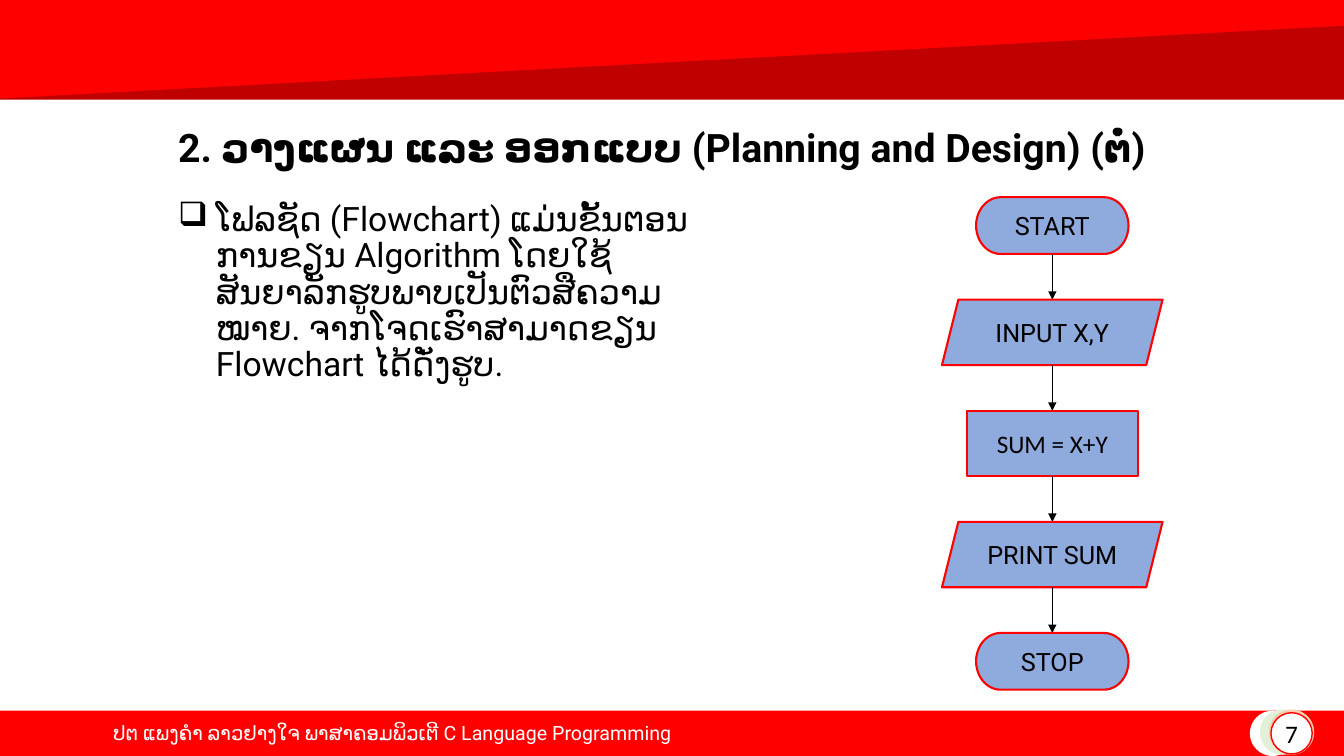
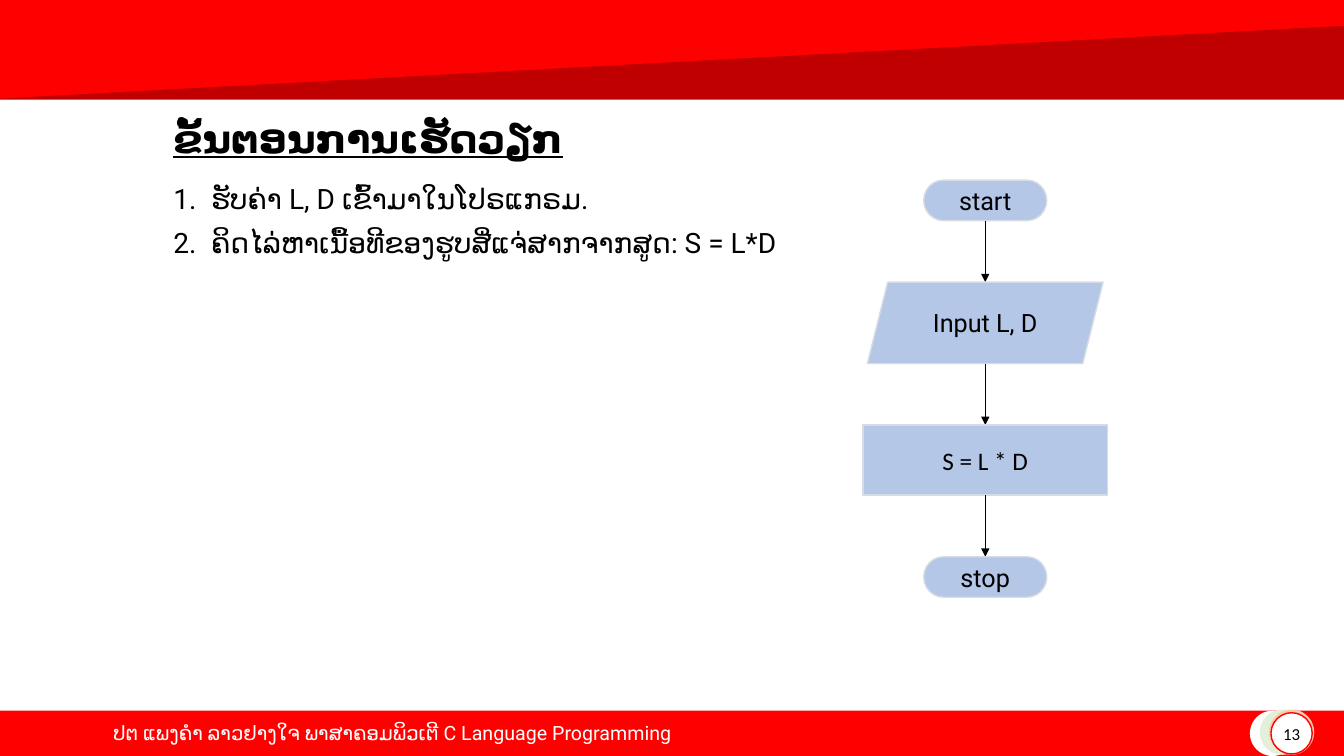
from lxml import etree
from pptx import Presentation
from pptx.dml.color import RGBColor
from pptx.enum.shapes import MSO_CONNECTOR, MSO_SHAPE
from pptx.enum.text import MSO_ANCHOR, PP_ALIGN
from pptx.oxml.ns import qn
from pptx.util import Cm, Pt

RECTANGLE = MSO_SHAPE.RECTANGLE
OVAL = MSO_SHAPE.OVAL
TERMINATOR = MSO_SHAPE.FLOWCHART_TERMINATOR
PARALLELOGRAM = MSO_SHAPE.PARALLELOGRAM
STRAIGHT = MSO_CONNECTOR.STRAIGHT
LEFT, CENTER = PP_ALIGN.LEFT, PP_ALIGN.CENTER
TOP, MIDDLE, BOTTOM = MSO_ANCHOR.TOP, MSO_ANCHOR.MIDDLE, MSO_ANCHOR.BOTTOM

BLACK = RGBColor(0x00, 0x00, 0x00)
WHITE = RGBColor(0xFF, 0xFF, 0xFF)
RED = RGBColor(0xFF, 0x00, 0x00)
DARK_RED = RGBColor(0xC0, 0x00, 0x00)
PALE_GREEN = RGBColor(0xE2, 0xF0, 0xD9)
PEACH = RGBColor(0xF8, 0xCB, 0xAD)
BLUE = RGBColor(0x8F, 0xAA, 0xDC)
LIGHT_BLUE = RGBColor(0xB4, 0xC7, 0xE7)
GRAY = RGBColor(0xD6, 0xDC, 0xE5)

TEXT_FONT, NUMBER_FONT = "Roboto", "Calibri"
WIDTH, HEIGHT = 33.87, 19.05
FOOTER = "ປຕ ແພງຄໍາ ລາວຢາງໃຈ ພາສາຄອມພິວເຕີ C Language Programming"
SQUARE_BULLET = ("a:buChar", {"char": "❑"})
NUMBERING = ("a:buAutoNum", {"type": "arabicPeriod"})

FRAME = [
    (RECTANGLE, (-0.56, -0.66, 35.23, 3.17), DARK_RED, 0),
    (RECTANGLE, (-0.25, -1.27, 34.16, 2.84), RED, 356.9),
    (RECTANGLE, (0, 17.91, WIDTH, 1.14), RED, 0),
    (OVAL, (31.5, 17.91, 1.14, 1.14), WHITE, 0),
    (OVAL, (31.75, 17.88, 1.14, 1.14), PALE_GREEN, 0),
    (OVAL, (31.98, 17.88, 1.14, 1.14), PEACH, 0),
]

SLIDES = [
    {
        "number": "7", "number_size": 18,
        "title": "2. ວາງແຜນ ແລະ ອອກແບບ (Planning and Design) (ຕໍ່)",
        "title_box": (4.24, 2.79, 25.4, 1.65), "underline": False,
        "body": ["ໂຟລຊັດ (Flowchart) ແມ່ນຂັ້ນຕອນການຂຽນ Algorithm ໂດຍໃຊ້"
                 "ສັນຍາລັກຮູບພາບເປັນຕົວສືຄວາມໝາຍ. ຈາກໂຈດເຮົາສາມາດຂຽນ "
                 "Flowchart ໄດ້ດັ່ງຮູບ."],
        "body_box": (4.24, 4.98, 13.74, 7.04), "body_size": 24,
        "bullet": SQUARE_BULLET,
        "flow": {"center": 26.52, "top": 4.97, "gap": 1.15,
                 "fill": BLUE, "line": RED, "line_width": 1.5},
        "sizes": {TERMINATOR: (3.84, 1.43), PARALLELOGRAM: (5.56, 1.65),
                  RECTANGLE: (4.32, 1.65)},
        "steps": [(TERMINATOR, "START"), (PARALLELOGRAM, "INPUT X,Y"),
                  (RECTANGLE, "SUM = X+Y"), (PARALLELOGRAM, "PRINT SUM"),
                  (TERMINATOR, "STOP")],
    },
    {
        "number": "13", "number_size": 12,
        "title": "ຂັ້ນຕອນການເຮັດວຽກ",
        "title_box": (4.12, 2.55, 25.4, 1.65), "underline": True,
        "body": ["ຮັບຄ່າ L, D ເຂົ້າມາໃນໂປຣແກຣມ.",
                 "ຄິດໄລ່ຫາເນື້ອທີຂອງຮູບສີ່ແຈ່ສາກຈາກສູດ: S = L*D"],
        "body_box": (4.12, 4.55, 16.59, 10.08), "body_size": 20,
        "bullet": NUMBERING,
        "flow": {"center": 24.83, "top": 4.54, "gap": 1.55,
                 "fill": LIGHT_BLUE, "line": GRAY, "line_width": 1},
        "sizes": {TERMINATOR: (3.1, 1.02), PARALLELOGRAM: (5.94, 2.05),
                  RECTANGLE: (6.17, 1.77)},
        "steps": [(TERMINATOR, "start"), (PARALLELOGRAM, "Input L, D"),
                  (RECTANGLE, "S = L * D"), (TERMINATOR, "stop")],
    },
]


def write(shape, paragraphs, size, font=TEXT_FONT, color=BLACK, bold=False,
          underline=False, align=LEFT, anchor=TOP, line_spacing=None,
          space_before=0, bullet=None, wrap=True):
    frame = shape.text_frame
    frame.word_wrap = wrap
    frame.vertical_anchor = anchor
    for index, text in enumerate(paragraphs):
        paragraph = frame.add_paragraph() if index else frame.paragraphs[0]
        paragraph.alignment = align
        paragraph.line_spacing = line_spacing
        paragraph.space_before = Pt(space_before)
        if bullet:
            tag, attributes = bullet
            properties = paragraph._p.get_or_add_pPr()
            properties.set("marL", str(Cm(0.95)))
            properties.set("indent", str(Cm(-0.95)))
            etree.SubElement(properties, qn(tag), attributes)
        run = paragraph.add_run()
        run.text = text
        run.font.name = font
        run.font.size = Pt(size)
        run.font.bold = bold
        run.font.underline = underline
        run.font.color.rgb = color
        etree.SubElement(run._r.get_or_add_rPr(), qn("a:cs"), typeface=font)


def add_text(slide, box, paragraphs, size, **text_format):
    shape = slide.shapes.add_textbox(*map(Cm, box))
    write(shape, paragraphs, size, **text_format)


def add_shape(slide, kind, box, fill, line=None, line_width=1, rotation=0):
    shape = slide.shapes.add_shape(kind, *map(Cm, box))
    shape.shadow.inherit = False
    shape.rotation = rotation
    shape.fill.solid()
    shape.fill.fore_color.rgb = fill
    if line is None:
        shape.line.fill.background()
    else:
        shape.line.color.rgb = line
        shape.line.width = Pt(line_width)
    return shape


def add_arrow(slide, x, start, end):
    arrow = slide.shapes.add_connector(STRAIGHT, Cm(x), Cm(start), Cm(x), Cm(end))
    arrow.line.color.rgb = BLACK
    arrow.line.width = Pt(0.5)
    etree.SubElement(arrow.line._get_or_add_ln(), qn("a:tailEnd"), type="triangle")
    etree.SubElement(arrow._element.spPr, qn("a:effectLst"))


def add_badge(slide, number, size):
    badge = add_shape(slide, OVAL, (32.03, 17.96, 1.04, 1.04), WHITE, line=RED)
    frame = badge.text_frame
    frame.margin_left = frame.margin_right = Cm(0)
    frame.margin_top = frame.margin_bottom = Cm(0)
    write(badge, [number], size, font=NUMBER_FONT, align=CENTER, anchor=MIDDLE,
          wrap=False)


def add_frame(slide, number, number_size):
    for kind, box, fill, rotation in FRAME:
        add_shape(slide, kind, box, fill, rotation=rotation)
    add_badge(slide, number, number_size)
    add_text(slide, (2.12, 18.11, 15.54, 0.97), [FOOTER], 14, color=WHITE,
             align=CENTER, line_spacing=0.9, space_before=10)


def add_flowchart(slide, steps, sizes, center, top, gap, fill, line, line_width):
    for index, (kind, label) in enumerate(steps):
        width, height = sizes[kind]
        if index:
            add_arrow(slide, center, top - gap, top)
        step = add_shape(slide, kind, (center - width / 2, top, width, height),
                         fill, line=line, line_width=line_width)
        font = NUMBER_FONT if kind == RECTANGLE else TEXT_FONT
        write(step, [label], 18, font=font, align=CENTER, anchor=MIDDLE)
        top += height + gap


def main():
    presentation = Presentation()
    presentation.slide_width, presentation.slide_height = Cm(WIDTH), Cm(HEIGHT)
    for content in SLIDES:
        slide = presentation.slides.add_slide(presentation.slide_layouts[6])
        add_frame(slide, content["number"], content["number_size"])
        add_text(slide, content["title_box"], [content["title"]], 28, bold=True,
                 underline=content["underline"], anchor=BOTTOM, line_spacing=0.9)
        add_text(slide, content["body_box"], content["body"], content["body_size"],
                 line_spacing=0.9, space_before=10, bullet=content["bullet"])
        add_flowchart(slide, content["steps"], content["sizes"], **content["flow"])
    presentation.save("out.pptx")


if __name__ == "__main__":
    main()
